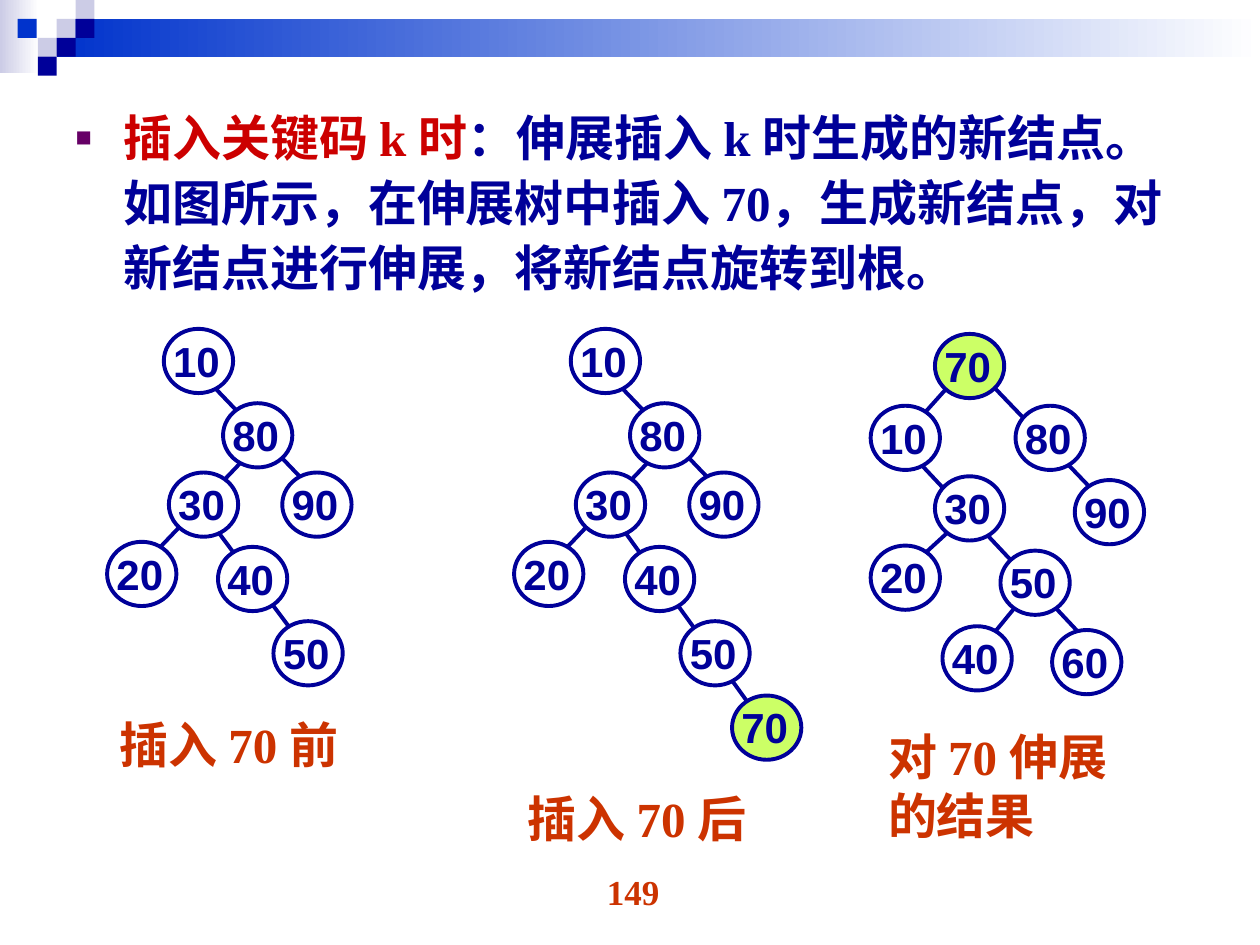
"""Builds a slide on inserting a key into a splay tree."""
import pptx
import pptx.dml.color
import pptx.enum.shapes
import pptx.enum.text
import pptx.oxml
import pptx.oxml.ns
import pptx.util

PX = 9144
NS = pptx.oxml.ns.nsdecls("a")
KIND = pptx.enum.shapes.MSO_SHAPE
ALIGN = pptx.enum.text.PP_ALIGN
SERIF, SANS = "Times New Roman", "Arial"
HUES = {"navy": "000099", "blue": "0033CC", "pale": "CCCCE6", "white": "FFFFFF",
        "lime": "CCFF66", "red": "CC0000", "rust": "CC3300", "plum": "660066"}

BODY = [("插入关键码 k 时", "red"),
        ("：伸展插入 k 时生成的新结点。如图所示，在伸展树中插入 70，"
         "生成新结点，对新结点进行伸展，将新结点旋转到根。", "navy")]
BANDS = [((0, 0, 31, 58), "pale"), ((45, 15, 955, 30), "blue")]
TILES = [(45, 15, "pale"), (60, 0, "pale"), (60, 15, "navy"), (30, 30, "pale"),
         (14, 15, "blue"), (45, 30, "navy"), (30, 45, "navy")]
NODE = (55, 51)
BASE = {10: (130, 261), 80: (177, 320), 30: (134, 375), 90: (224, 375),
        20: (85, 430), 40: (173, 434), 50: (217, 493)}
LIMBS = [(163, 300, 254, 395), (195, 363, 116, 446)]
TREES = [
    {"shift": 0, "nodes": BASE, "lines": LIMBS + [(167, 414, 244, 517)]},
    {"shift": 323, "nodes": {**BASE, 70: (258, 552)},
     "lines": LIMBS + [(167, 414, 281, 572)]},
    {"shift": 0,
     "nodes": {70: (742, 265), 10: (691, 322), 80: (806, 322), 30: (742, 378),
               90: (853, 381), 20: (691, 433), 50: (794, 437), 40: (748, 497),
               60: (835, 500)},
     "lines": [(756, 303, 721, 342), (813, 473, 777, 517), (778, 296, 894, 417),
               (721, 358, 858, 504), (780, 397, 731, 442)]},
]
NOTES = [((85, 562, 223, 57), "插入 70 前"), ((409, 621, 223, 57), "插入 70 后"),
         ((695, 572, 223, 104), "对 70 伸展\n的结果")]
PAGE = ((386, 686, 233, 52), "149")


def rgb(hue):
    return pptx.dml.color.RGBColor.from_string(HUES[hue])


def emu(*nums):
    return [num * PX for num in nums]


def style(font, size, face, hue):
    font.size, font.name, font.bold = pptx.util.Pt(size), face, True
    font.color.rgb = rgb(hue)


def shape(slide, kind, box, hue):
    item = slide.shapes.add_shape(kind, *emu(*box))
    item.shadow.inherit = False
    item.fill.solid()
    item.fill.fore_color.rgb = rgb(hue)
    item.line.fill.background()
    return item


def band(slide, box, hue):
    fill = shape(slide, KIND.RECTANGLE, box, hue).fill
    fill.gradient()
    fill.gradient_angle = 0
    for stop, tint in zip(fill.gradient_stops, (hue, "white")):
        stop.color.rgb = rgb(tint)


def edge(line):
    line.color.rgb = rgb("navy")
    line.width = pptx.util.Pt(2.25)


def link(slide, ends):
    item = slide.shapes.add_connector(
        pptx.enum.shapes.MSO_CONNECTOR.STRAIGHT, *emu(*ends))
    edge(item.line)
    item._element.spPr.append(pptx.oxml.parse_xml(f"<a:effectLst {NS}/>"))


def node(slide, key, left, top):
    hue = "lime" if key == 70 else "white"
    item = shape(slide, KIND.OVAL, (left, top, *NODE), hue)
    edge(item.line)
    frame = item.text_frame
    frame.margin_left = frame.margin_top = 0
    frame.margin_right, frame.margin_bottom = emu(3, 1)
    frame.word_wrap = False
    frame.vertical_anchor = pptx.enum.text.MSO_ANCHOR.MIDDLE
    frame.text = str(key)
    para = frame.paragraphs[0]
    para.alignment = ALIGN.CENTER
    style(para.runs[0].font, 24, SANS, "navy")


def tree(slide, plan):
    move = plan["shift"]
    for x, y, tox, toy in plan["lines"]:
        link(slide, (x + move, y, tox + move, toy))
    for key, (left, top) in plan["nodes"].items():
        node(slide, key, left + move, top)


def label(slide, box, text, size, align):
    frame = slide.shapes.add_textbox(*emu(*box)).text_frame
    frame.word_wrap = True
    frame.text = text
    for para in frame.paragraphs:
        para.alignment = align
        style(para.runs[0].font, size, SERIF, "rust")


def body(slide):
    slide.shapes.title._element.getparent().remove(slide.shapes.title._element)
    item = slide.placeholders[1]
    item.left, item.top, item.width, item.height = emu(50, 76, 900, 165)
    frame = item.text_frame
    frame.auto_size = pptx.enum.text.MSO_AUTO_SIZE.NONE
    para = frame.paragraphs[0]
    props = para._p.get_or_add_pPr()
    props.set("marL", str(38 * PX))
    props.set("indent", str(-38 * PX))
    props.set("hangingPunct", "0")
    for part in (f'<a:buClr {NS}><a:srgbClr val="{HUES["plum"]}"/></a:buClr>',
                 f'<a:buSzPct {NS} val="55000"/>',
                 f'<a:buFont {NS} typeface="{SANS}"/>',
                 f'<a:buChar {NS} char="■"/>'):
        props.append(pptx.oxml.parse_xml(part))
    para.line_spacing = 1.1
    para.space_before = pptx.util.Pt(0)
    for text, hue in BODY:
        run = para.add_run()
        run.text = text
        style(run.font, 28, SERIF, hue)


def main():
    deck = pptx.Presentation()
    deck.slide_width, deck.slide_height = emu(1000, 750)
    slide = deck.slides.add_slide(deck.slide_layouts[1])
    for box, hue in BANDS:
        band(slide, box, hue)
    for left, top, hue in TILES:
        shape(slide, KIND.RECTANGLE, (left, top, 15, 15), hue)
    body(slide)
    for plan in TREES:
        tree(slide, plan)
    for box, text in NOTES:
        label(slide, box, text, 28, ALIGN.LEFT)
    label(slide, *PAGE, 20, ALIGN.CENTER)
    deck.save("out.pptx")


if __name__ == "__main__":
    main()
